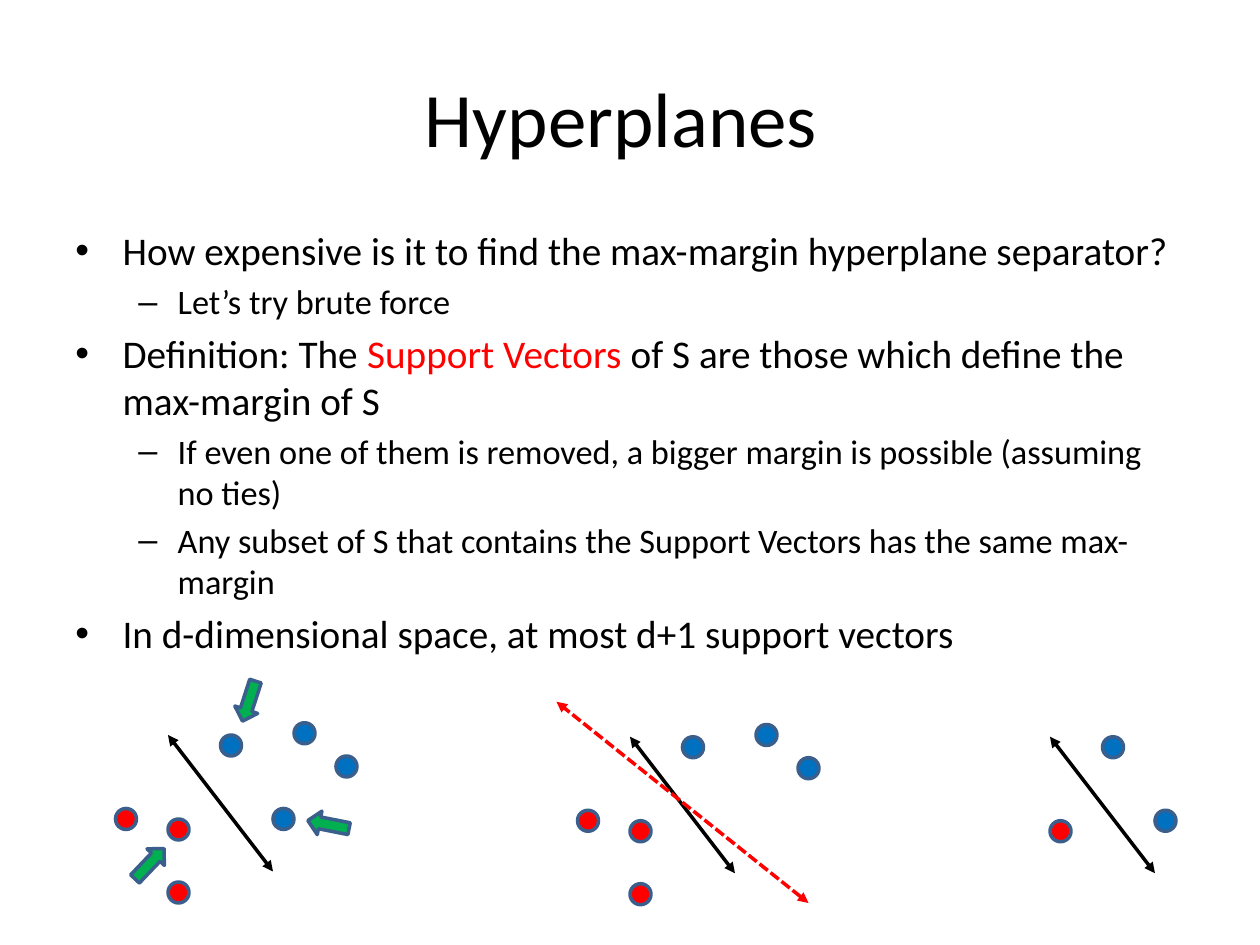
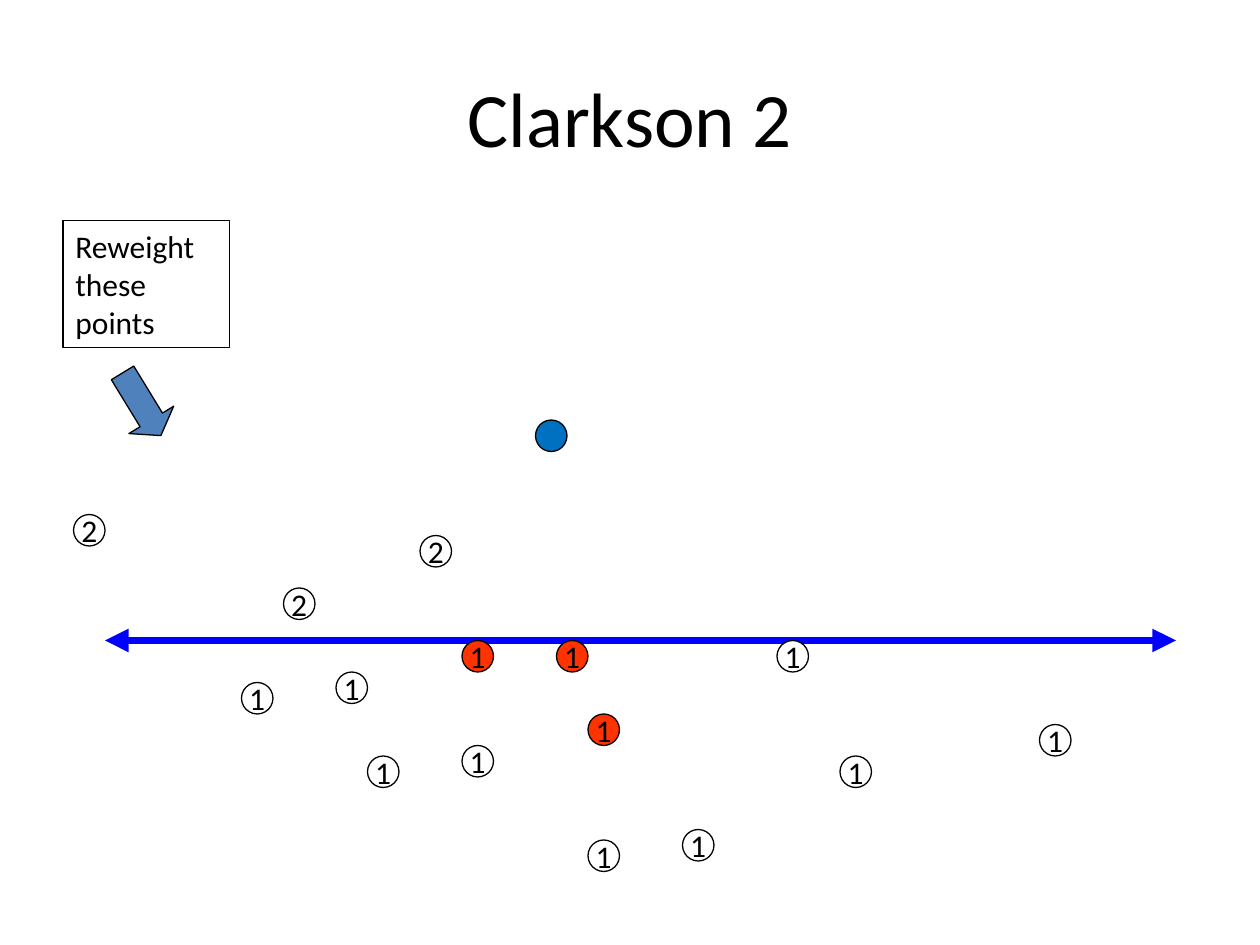
import pptx
import pptx.dml.color
import pptx.enum.dml
import pptx.enum.shapes
import pptx.enum.text
import pptx.oxml.ns
import pptx.util
from lxml import etree

Pt = pptx.util.Pt
RGBColor = pptx.dml.color.RGBColor
Shape = pptx.enum.shapes.MSO_SHAPE
Align = pptx.enum.text.PP_ALIGN
Anchor = pptx.enum.text.MSO_ANCHOR
AutoSize = pptx.enum.text.MSO_AUTO_SIZE
qn = pptx.oxml.ns.qn

BLACK = RGBColor(0x00, 0x00, 0x00)
WHITE = RGBColor(0xFF, 0xFF, 0xFF)
RED = RGBColor(0xFF, 0x00, 0x00)
ORANGE_RED = RGBColor(0xFF, 0x33, 0x00)
BLUE = RGBColor(0x00, 0x70, 0xC0)
PURE_BLUE = RGBColor(0x00, 0x00, 0xFF)
STEEL = RGBColor(0x4F, 0x81, 0xBD)
OUTLINE = RGBColor(0x3A, 0x5F, 0x8C)
GREEN = RGBColor(0x00, 0xB0, 0x50)


class Deck:
    font = "Calibri"
    levels = [("•", 22.4, 27, -27), ("–", 19.6, 58.5, -22.5)]

    def __init__(self):
        self.presentation = pptx.Presentation()
        self.presentation.slide_width = Pt(720)
        self.presentation.slide_height = Pt(540)
        self.slide = None

    def add_slide(self, title):
        layout = self.presentation.slide_layouts[6]
        self.slide = self.presentation.slides.add_slide(layout)
        frame = self.text_box(36, 21.6, 648, 90)
        frame.vertical_anchor = Anchor.MIDDLE
        frame.paragraphs[0].alignment = Align.CENTER
        self.run(frame.paragraphs[0], title, 44)

    def text_box(self, left, top, width, height):
        box = self.slide.shapes.add_textbox(Pt(left), Pt(top), Pt(width), Pt(height))
        box.text_frame.word_wrap = True
        return box.text_frame

    def run(self, paragraph, text, size, color=BLACK):
        run = paragraph.add_run()
        run.text = text
        run.font.name = self.font
        run.font.size = Pt(size)
        run.font.color.rgb = color

    def paragraphs(self, frame, count):
        return [frame.paragraphs[0]] + [frame.add_paragraph() for _ in range(count - 1)]

    def bullets(self, left, top, width, height, items):
        frame = self.text_box(left, top, width, height)
        for paragraph, (level, runs) in zip(self.paragraphs(frame, len(items)), items):
            character, size, margin, indent = self.levels[level]
            paragraph.level = level
            paragraph.space_before = Pt(size * 0.2)
            properties = paragraph._p.get_or_add_pPr()
            properties.set("marL", str(Pt(margin)))
            properties.set("indent", str(Pt(indent)))
            etree.SubElement(properties, qn("a:buFont")).set("typeface", "Arial")
            etree.SubElement(properties, qn("a:buChar")).set("char", character)
            for text, color in runs:
                self.run(paragraph, text, size, color)

    def shape(self, kind, left, top, width, height, fill, line, weight, rotation=0):
        shape = self.slide.shapes.add_shape(kind, Pt(left), Pt(top), Pt(width), Pt(height))
        shape.shadow.inherit = False
        shape.rotation = rotation
        if fill is None:
            shape.fill.background()
        else:
            shape.fill.solid()
            shape.fill.fore_color.rgb = fill
        shape.line.color.rgb = line
        shape.line.width = Pt(weight)
        return shape

    def label(self, shape, lines, alignment):
        frame = shape.text_frame
        frame.word_wrap = False
        frame.vertical_anchor = Anchor.MIDDLE
        for paragraph, text in zip(self.paragraphs(frame, len(lines)), lines):
            paragraph.alignment = alignment
            self.run(paragraph, text, 18)

    def dot(self, left, top, color):
        self.shape(Shape.OVAL, left, top, 12, 12, color, OUTLINE, 2)

    def weighted_point(self, left, top, fill, weight=None):
        circle = self.shape(Shape.OVAL, left, top, 18, 18, fill, BLACK, 0.75)
        if weight:
            self.label(circle, [weight], Align.CENTER)

    def double_arrow(self, start, end, color, weight, dashed=False):
        line = self.slide.shapes.add_connector(
            pptx.enum.shapes.MSO_CONNECTOR.STRAIGHT,
            *(Pt(value) for value in (*start, *end)))
        line.line.color.rgb = color
        line.line.width = Pt(weight)
        if dashed:
            line.line.dash_style = pptx.enum.dml.MSO_LINE.SQUARE_DOT
            line.line._ln.find(qn("a:prstDash")).set("val", "sysDash")
        for end_name in ("a:headEnd", "a:tailEnd"):
            etree.SubElement(line.line._ln, qn(end_name)).set("type", "triangle")
        etree.SubElement(line._element.spPr, qn("a:effectLst"))

    def separated_points(self, left, top, dots):
        for across, down, color in dots:
            self.dot(left + across, top + down, color)
        self.double_arrow((left + 60, top + 78), (left, top), BLACK, 2)


deck = Deck()

deck.add_slide("Hyperplanes ")
deck.bullets(36, 126, 648, 246, [
    (0, [("How expensive is it to find the max-margin hyperplane separator?", BLACK)]),
    (1, [("Let’s try brute force ", BLACK)]),
    (0, [("Definition: The ", BLACK), ("Support Vectors ", RED),
         ("of S are those which define the max-margin of S", BLACK)]),
    (1, [("If even one of them is removed, a bigger margin is possible "
          "(assuming no ties)", BLACK)]),
    (1, [("Any subset of S that contains the Support Vectors has the same "
          "max-margin", BLACK)]),
    (0, [("In d-dimensional space, at most d+1 support vectors", BLACK)]),
])
kept_vectors = [(30, 0, BLUE), (0, 48, RED)]
removed_vector = [(60, 42, BLUE)]
other_points = [(72, -7, BLUE), (96, 12, BLUE), (-30, 42, RED), (0, 84, RED)]
deck.separated_points(96, 420, kept_vectors + removed_vector + other_points)
deck.separated_points(360, 421, kept_vectors + other_points)
deck.separated_points(600, 421, kept_vectors + removed_vector)
deck.double_arrow((462, 516), (318, 401), RED, 2, dashed=True)
for left, top, rotation in [(130.3, 393.8, 287.9), (175.7, 464.4, 11.2), (73.4, 486.7, 133.6)]:
    deck.shape(Shape.LEFT_ARROW, left, top, 24, 13.7, GREEN, OUTLINE, 2, rotation)

deck.add_slide("Clarkson 2")
deck.weighted_point(306, 240, BLUE)
deck.double_arrow((60, 366), (672, 366), PURE_BLUE, 4.5)
weighted_groups = [
    ("1", ORANGE_RED, [(264, 366), (336, 408), (318, 366)]),
    ("1", WHITE, [(264, 426), (210, 432), (192, 384), (138, 390), (390, 474),
                  (336, 480), (444, 366), (594, 414), (480, 432)]),
    ("2", WHITE, [(162, 336), (42, 294), (240, 306)]),
]
for weight, fill, places in weighted_groups:
    for left, top in places:
        deck.weighted_point(left, top, fill, weight)
note = deck.shape(Shape.RECTANGLE, 36, 126, 95, 72.7, None, BLACK, 0.75)
deck.label(note, ["Reweight ", "these", "points"], Align.LEFT)
note.text_frame.auto_size = AutoSize.SHAPE_TO_FIT_TEXT
pointer = deck.shape(Shape.DOWN_ARROW, 66, 210, 30, 42, STEEL, BLACK, 0.75, 328.6)
pointer.adjustments[0] = 0.5
pointer.adjustments[1] = 0.35

deck.presentation.save("out.pptx")
